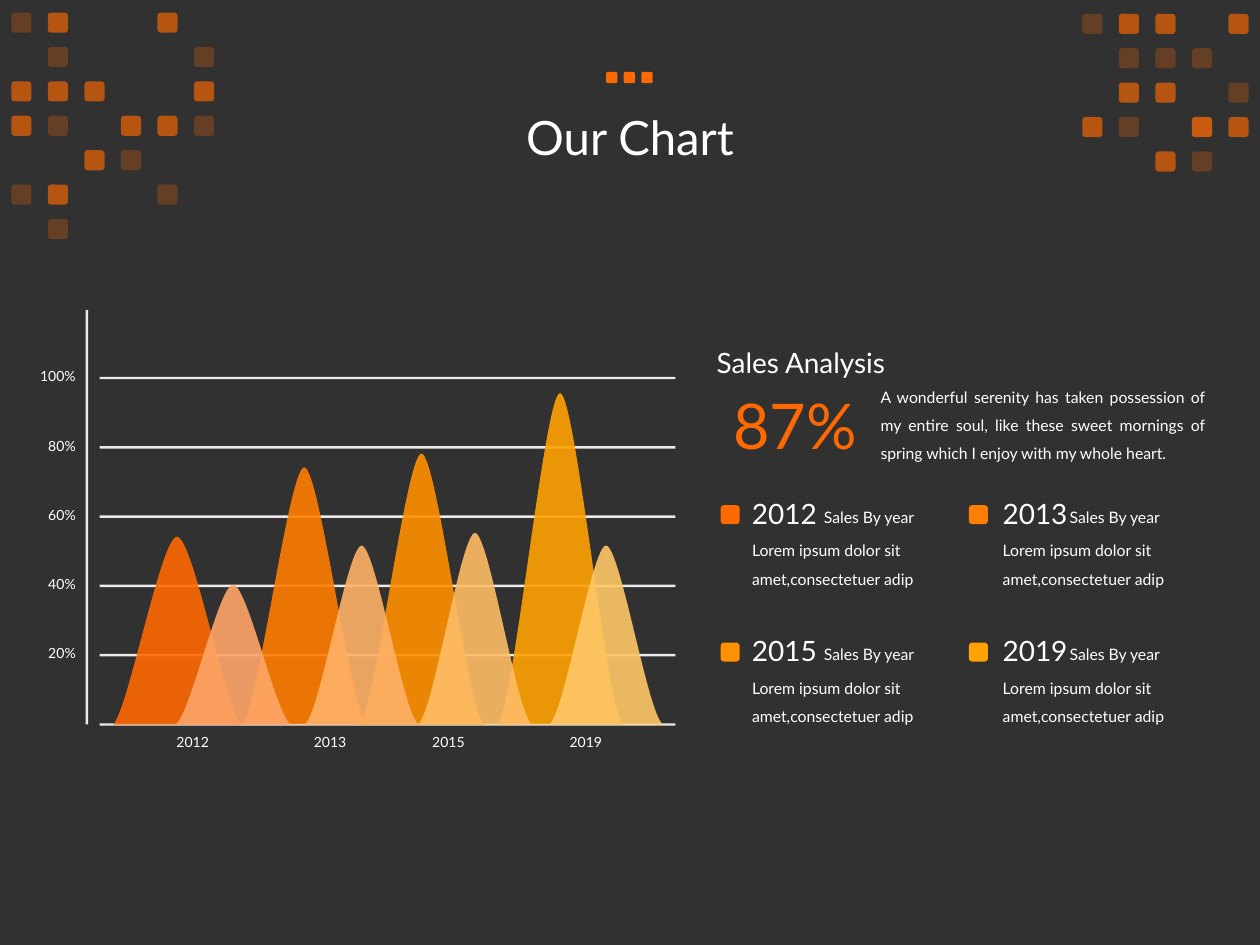
from dataclasses import dataclass

from lxml import etree
from pptx import Presentation
from pptx import util as u
from pptx.dml import color
from pptx.enum import shapes, text
from pptx.oxml import ns


@dataclass(frozen=True)
class Theme:
    font: str = "Lato"
    background: str = "313131"
    white: str = "FFFFFF"
    accent: str = "FE6902"
    years: tuple = ("FE6902", "FF7D01", "FF9000", "FFA202")
    pale_years: tuple = ("FEA567", "FFB167", "FFBC66", "FFC767")
    label: int = 8
    body: int = 9
    heading: int = 16
    title: int = 27
    figure: int = 36


THEME = Theme()
YEARS = ("2012", "2013", "2015", "2019")
BASELINE = 5.75
GRID_TOP, GRID_STEP = 2.99, 0.55

# b = bright square, d = dim square, x = bright with dim on top
SQUARE_ALPHAS = {"b": (65,), "d": (25,), "x": (65, 25), ".": ()}
LEFT_SQUARES = ("db..b.", ".d...d", "bbb..b", "bd.bbd", "..bd..", "db..d.", ".d....")
RIGHT_SQUARES = ("dbb.b", ".ddd.", ".bb.d", "bd.xb", "..bd.")


def paint(shape, fill, alpha=100):
    shape.shadow.inherit = False
    shape.line.fill.background()
    shape.fill.solid()
    shape.fill.fore_color.rgb = color.RGBColor.from_string(fill)
    if alpha < 100:
        tint = shape.fill._xPr.find(".//" + ns.qn("a:srgbClr"))
        etree.SubElement(tint, ns.qn("a:alpha"), val=str(alpha * 1000))


def add_block(container, left, top, width, height, fill, alpha=100, rounded=False):
    kind = shapes.MSO_SHAPE.ROUNDED_RECTANGLE if rounded else shapes.MSO_SHAPE.RECTANGLE
    shape = container.add_shape(
        kind, u.Inches(left), u.Inches(top), u.Inches(width), u.Inches(height))
    paint(shape, fill, alpha)


def add_text(slide, content, left, top, width, height, *, size, fill=THEME.white,
             align=text.PP_ALIGN.LEFT, anchor=text.MSO_ANCHOR.TOP, wrap=True,
             line_spacing=None, space_before=0):
    box = slide.shapes.add_textbox(
        u.Inches(left), u.Inches(top), u.Inches(width), u.Inches(height))
    frame = box.text_frame
    frame.word_wrap = wrap
    frame.vertical_anchor = anchor
    paragraph = frame.paragraphs[0]
    paragraph.alignment = align
    paragraph.line_spacing = line_spacing
    paragraph.space_before = u.Pt(space_before)
    run = paragraph.add_run()
    run.text = content
    run.font.name = THEME.font
    run.font.size = u.Pt(size)
    run.font.color.rgb = color.RGBColor.from_string(fill)


def add_peak(slide, left, top, width, fill, lift=0):
    """Bell curve on the baseline; lift raises the control points at its feet."""
    quarter = width / 4
    foot = BASELINE - lift
    controls = [
        (left + quarter / 2, foot), (left + quarter * 1.5, top), (left + quarter * 2, top),
        (left + quarter * 2.5, top), (left + quarter * 3.5, foot), (left + width, BASELINE),
    ]
    builder = slide.shapes.build_freeform(u.Inches(left), u.Inches(BASELINE))
    builder.add_line_segments([(u.Inches(x), u.Inches(y)) for x, y in controls])
    shape = builder.convert_to_shape()
    segments = shape._element.findall(".//" + ns.qn("a:lnTo"))[:len(controls)]
    for start in range(0, len(controls), 3):
        curve = etree.Element(ns.qn("a:cubicBezTo"))
        segments[start].addprevious(curve)
        for segment in segments[start:start + 3]:
            curve.append(segment[0])
            segment.getparent().remove(segment)
    paint(shape, fill, 90)


def add_squares(slide, left, top, pattern):
    group = slide.shapes.add_group_shape().shapes
    for row, cells in enumerate(pattern):
        for column, cell in enumerate(cells):
            for alpha in SQUARE_ALPHAS[cell]:
                add_block(group, left + column * 0.29, top + row * 0.273, 0.16, 0.16,
                          THEME.accent, alpha, rounded=True)


def add_heading(slide):
    add_text(slide, "Our Chart", 0.69, 0.39, 8.62, 1.45, size=THEME.title,
             align=text.PP_ALIGN.CENTER, anchor=text.MSO_ANCHOR.MIDDLE, line_spacing=0.9)
    dots = slide.shapes.add_group_shape().shapes
    for index in range(3):
        add_block(dots, 4.81 + index * 0.14, 0.57, 0.09, 0.09, THEME.accent, rounded=True)


def add_peak_chart(slide):
    for index in range(6):
        add_block(slide.shapes, 0.79, GRID_TOP + index * GRID_STEP, 4.57, 0.02,
                  THEME.white, 90)
    add_block(slide.shapes, 0.68, 2.46, 0.02, 3.29, THEME.white, 90)

    main_peaks = ((0, 0.9, 4.26, 0.15), (3, 3.94, 3.12, 0), (1, 1.91, 3.71, 0),
                  (2, 2.84, 3.6, 0))
    for year, left, top, lift in main_peaks:
        add_peak(slide, left, top, 1.01, THEME.years[year], lift)
    pale_peaks = ((0, 1.39, 4.64, 0.05), (3, 4.35, 4.33, 0), (2, 3.31, 4.23, 0),
                  (1, 2.41, 4.33, 0))
    for year, left, top, lift in pale_peaks:
        add_peak(slide, left, top, 0.92, THEME.pale_years[year], lift)

    for index, label in enumerate(("100%", "80%", "60%", "40%", "20%")):
        width = 0.49 if len(label) == 4 else 0.42
        add_text(slide, label, 0.7 - width, 2.87 + index * GRID_STEP, width, 0.24,
                 size=THEME.label, align=text.PP_ALIGN.RIGHT, wrap=False)
    for year, left in zip(YEARS, (1.3, 2.39, 3.33, 4.42)):
        add_text(slide, year, left, 5.77, 0.46, 0.24, size=THEME.label,
                 align=text.PP_ALIGN.CENTER, wrap=False)


def add_analysis(slide):
    add_text(slide, "Sales Analysis", 5.59, 2.69, 1.63, 0.37, size=THEME.heading, wrap=False)
    add_text(slide, "87%", 5.72, 3.02, 1.2, 0.71, size=THEME.figure, fill=THEME.accent,
             wrap=False)
    add_text(slide, "A wonderful serenity has taken possession of my entire soul, like these "
             "sweet mornings of spring which I enjoy with my whole heart.",
             6.89, 2.95, 2.77, 0.75, size=THEME.body, align=text.PP_ALIGN.JUSTIFY,
             line_spacing=1.5)


def add_legend(slide):
    columns = ((5.72, 5.87, 6.44), (7.69, 7.86, 8.39))
    for index, (year, fill) in enumerate(zip(YEARS, THEME.years)):
        row, column = divmod(index, 2)
        marker, left, caption = columns[column]
        top = 3.89 + row * 1.09
        add_block(slide.shapes, marker, top + 0.12, 0.15, 0.15, fill, rounded=True)
        add_text(slide, year, left, top, 0.9, 0.41, size=THEME.heading,
                 space_before=THEME.heading * 0.2)
        add_text(slide, "Sales By year", caption, top + 0.09, 1.12, 0.22, size=THEME.body,
                 space_before=THEME.body * 0.2)
        add_text(slide, "Lorem ipsum dolor sit amet,consectetuer adip", left, top + 0.28,
                 1.65, 0.53, size=THEME.body, line_spacing=1.5,
                 space_before=THEME.body * 0.2)


def main():
    presentation = Presentation()
    presentation.slide_width = u.Inches(10)
    presentation.slide_height = u.Inches(7.5)
    slide = presentation.slides.add_slide(presentation.slide_layouts[6])
    background = slide.background.fill
    background.solid()
    background.fore_color.rgb = color.RGBColor.from_string(THEME.background)

    add_heading(slide)
    add_peak_chart(slide)
    add_legend(slide)
    add_analysis(slide)
    add_squares(slide, 0.09, 0.1, LEFT_SQUARES)
    add_squares(slide, 8.59, 0.11, RIGHT_SQUARES)
    presentation.save("out.pptx")


if __name__ == "__main__":
    main()
